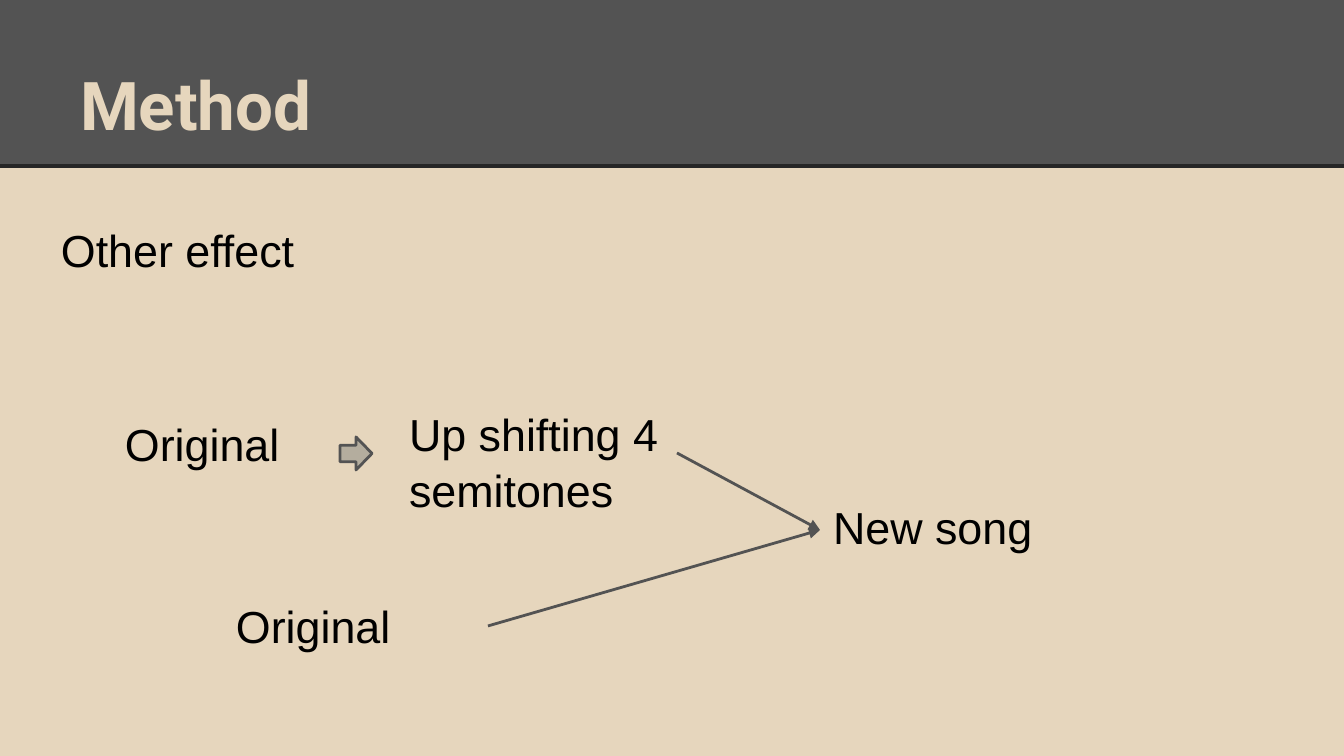
"""Build the Method slide: two song versions merging into a new song."""
from dataclasses import dataclass

from lxml import etree
from pptx import Presentation
from pptx.dml.color import RGBColor
from pptx.enum.shapes import MSO_CONNECTOR, MSO_SHAPE
from pptx.enum.text import MSO_ANCHOR, MSO_AUTO_SIZE, PP_ALIGN
from pptx.oxml.ns import qn
from pptx.util import Pt

STRAIGHT = MSO_CONNECTOR.STRAIGHT
RECT, RIGHT_ARROW = MSO_SHAPE.RECTANGLE, MSO_SHAPE.RIGHT_ARROW
TOP, BOTTOM = MSO_ANCHOR.TOP, MSO_ANCHOR.BOTTOM
LEFT = PP_ALIGN.LEFT
NO_AUTOFIT = MSO_AUTO_SIZE.NONE
WIDTH, HEIGHT, INSET = 1344, 756, 13
SCALE = 9144000 / WIDTH


@dataclass(frozen=True)
class Theme:
    sand: RGBColor = RGBColor.from_string("E6D6BD")
    grey: RGBColor = RGBColor.from_string("535353")
    rule: RGBColor = RGBColor.from_string("262626")
    arrow: RGBColor = RGBColor.from_string("B4AD9E")
    ink: RGBColor = RGBColor.from_string("000000")
    title_font: str = "Roboto"
    body_font: str = "Arial"
    title_size: int = 36
    body_size: int = 24


THEME = Theme()


def px(*values):
    return [round(v * SCALE) for v in values]


def put_text(sp, text, *, font=THEME.body_font, size=THEME.body_size,
             color=THEME.ink, bold=False, anchor=TOP, spacing=1.06):
    tf = sp.text_frame
    tf.word_wrap = True
    tf.auto_size = NO_AUTOFIT
    tf.vertical_anchor = anchor
    tf.margin_left, tf.margin_top, tf.margin_right, tf.margin_bottom = px(*[INSET] * 4)
    p = tf.paragraphs[0]
    p.alignment = LEFT
    p.line_spacing = spacing
    r = p.add_run()
    r.text = text
    r.font.name, r.font.size, r.font.bold = font, Pt(size), bold
    r.font.color.rgb = color


prs = Presentation()
prs.slide_width, prs.slide_height = px(WIDTH, HEIGHT)
s = prs.slides.add_slide(prs.slide_layouts[5])
s.background.fill.solid()
s.background.fill.fore_color.rgb = THEME.sand

band = s.shapes.add_shape(RECT, *px(0, 0, WIDTH, 166))
band.shadow.inherit = False
band.fill.solid()
band.fill.fore_color.rgb = THEME.grey
band.line.fill.background()

rule = s.shapes.add_connector(STRAIGHT, *px(0, 166, WIDTH, 166))
rule.line.color.rgb = THEME.rule
rule.line.width = Pt(2.25)
etree.SubElement(rule.element.spPr, qn("a:effectLst"))

title = s.shapes.title
title.left, title.top, title.width, title.height = px(67, 31, 1210, 126)
put_text(title, "Method", font=THEME.title_font, size=THEME.title_size,
         color=THEME.sand, bold=True, anchor=BOTTOM, spacing=1.0)
title.element.getparent().append(title.element)

labels = {}
for name, text, box in [
    ("heading", "Other effect", (48, 207, 692, 86)),
    ("unshifted", "Original", (223, 583, 265, 86)),
    ("source", "Original", (112, 401, 265, 69)),
    ("shifted", "Up shifting 4 semitones", (396, 390, 281, 126)),
    ("result", "New song", (820, 484, 333, 92)),
]:
    labels[name] = s.shapes.add_textbox(*px(*box))
    put_text(labels[name], text)

arrow = s.shapes.add_shape(RIGHT_ARROW, *px(340, 437, 32, 33))
arrow.shadow.inherit = False
arrow.fill.solid()
arrow.fill.fore_color.rgb = THEME.arrow
arrow.line.color.rgb = THEME.grey
arrow.line.width = Pt(1.5)

for name in ("shifted", "unshifted"):
    link = s.shapes.add_connector(STRAIGHT, 0, 0, 0, 0)
    link.begin_connect(labels[name], 3)
    link.end_connect(labels["result"], 1)
    link.line.color.rgb = THEME.grey
    link.line.width = Pt(1.5)
    etree.SubElement(link.line._get_or_add_ln(), qn("a:tailEnd"), type="triangle")
    etree.SubElement(link.element.spPr, qn("a:effectLst"))

prs.save("out.pptx")
